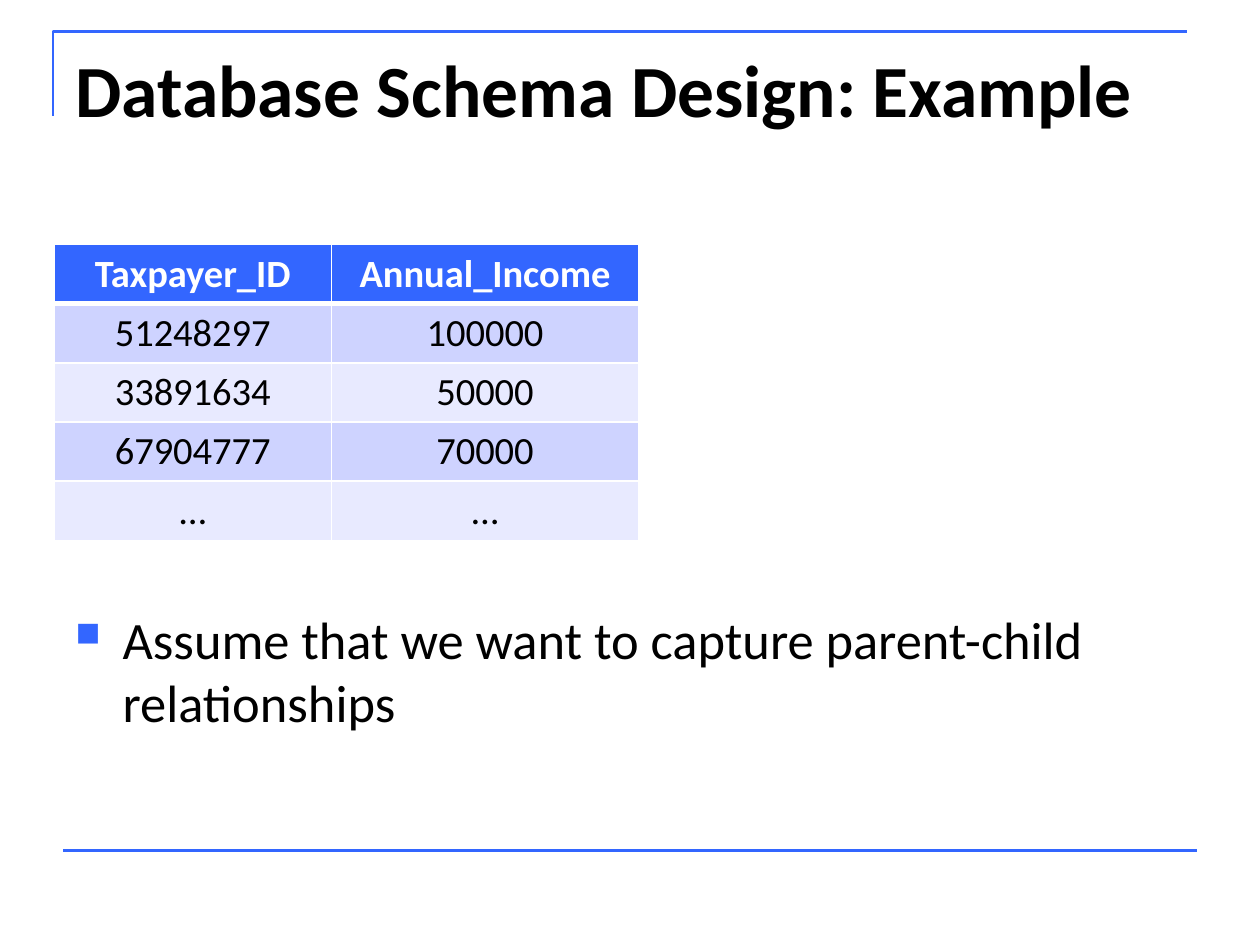
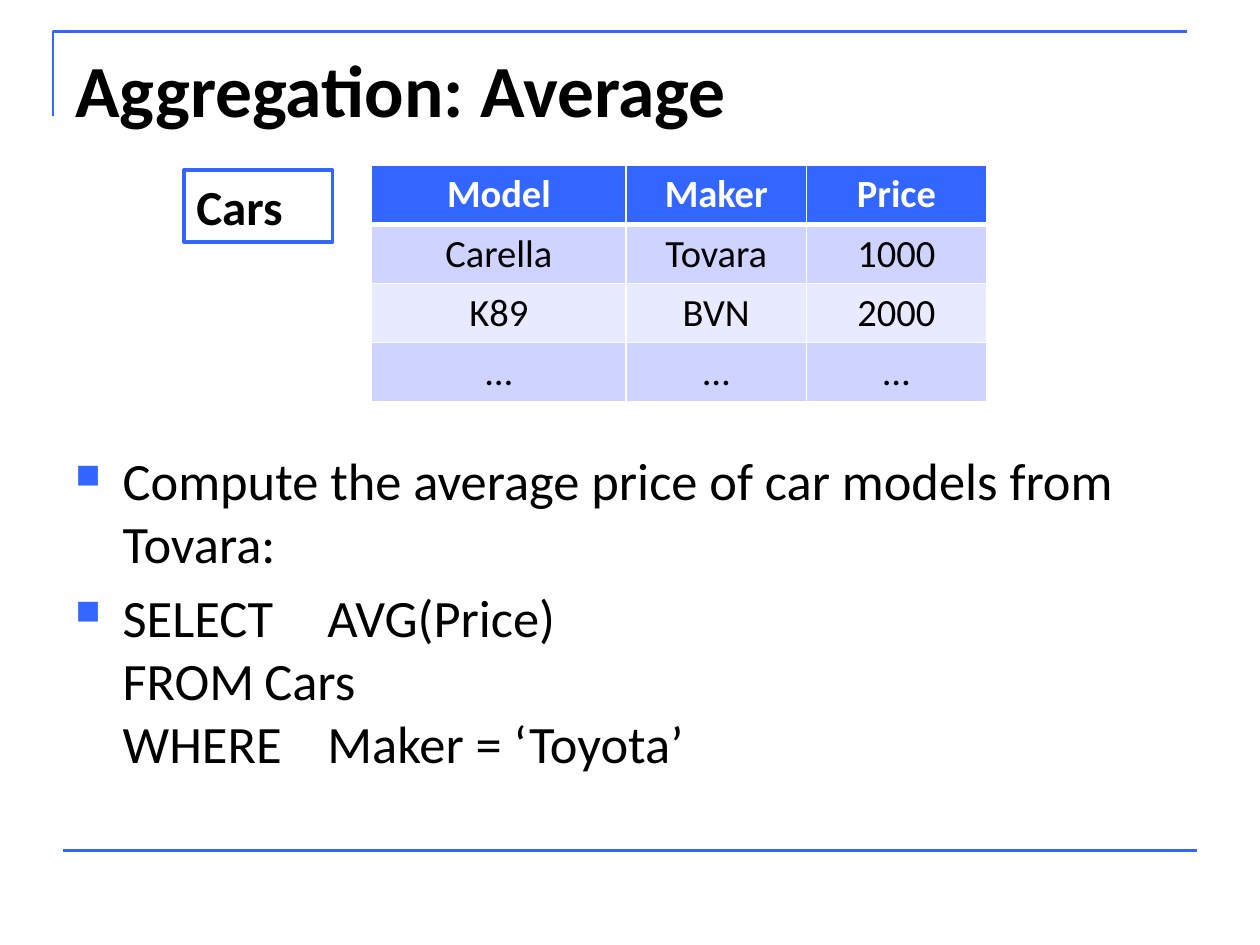
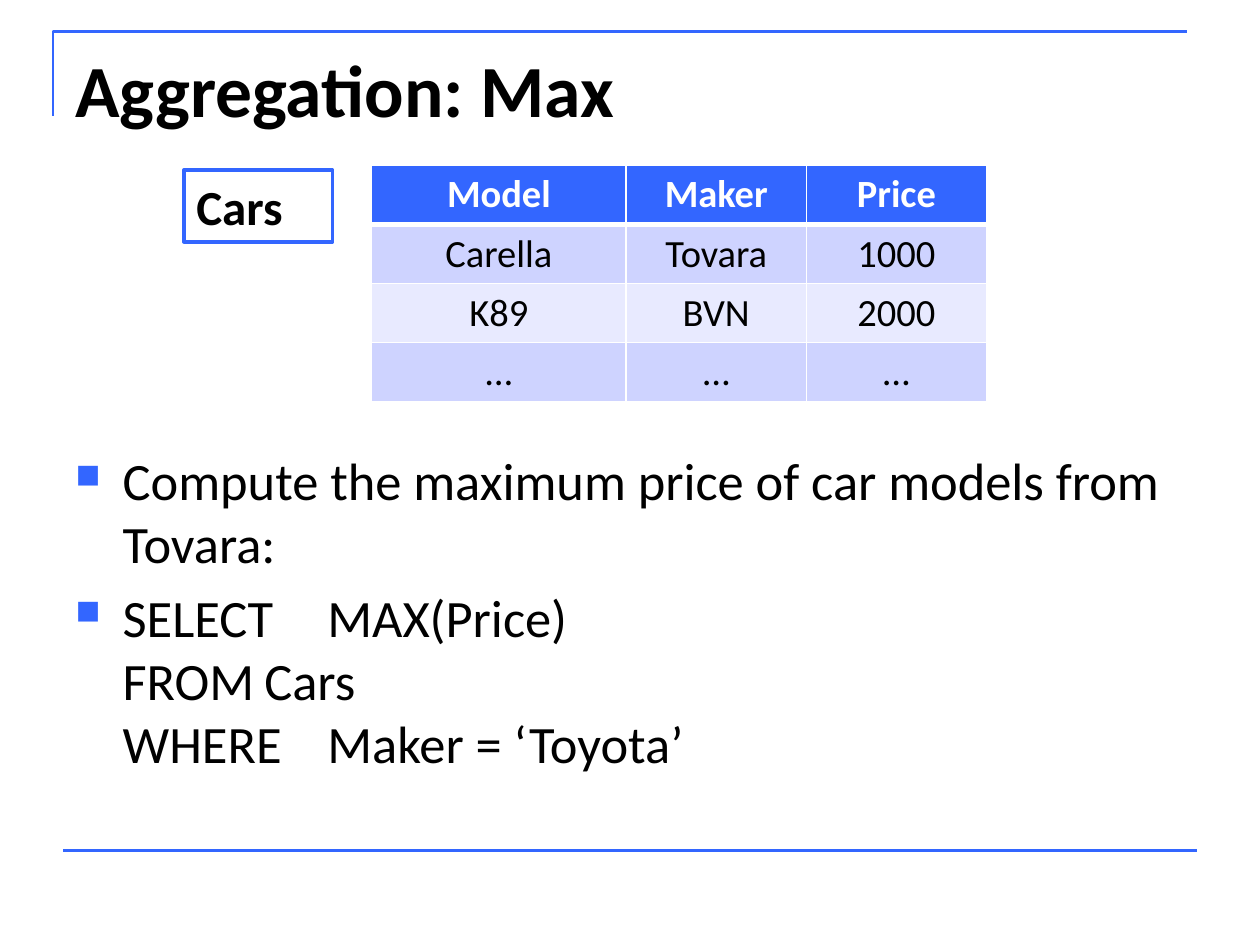
from dataclasses import dataclass
from typing import NamedTuple, Optional

from lxml.etree import SubElement
from pptx import Presentation
from pptx.dml.color import RGBColor
from pptx.enum.shapes import MSO_CONNECTOR, MSO_SHAPE
from pptx.enum.text import MSO_ANCHOR, PP_ALIGN
from pptx.oxml.ns import qn
from pptx.util import Inches, Pt

GRID_COLUMNS = 100
GRID_ROWS = 75
SLIDE_WIDTH = Inches(10)
SLIDE_HEIGHT = Inches(7.5)


@dataclass(frozen=True)
class Theme:
    font: str = "Calibri"
    accent: str = "3366FF"
    ink: str = "000000"
    paper: str = "FFFFFF"
    odd_row: str = "CED3FF"
    even_row: str = "E8EAFF"
    title_size: float = 42
    body_size: float = 30
    label_size: float = 28
    table_size: float = 22
    frame_line: float = 1.5
    label_line: float = 2
    cell_line: float = 1
    header_line: float = 3


THEME = Theme()


class Box(NamedTuple):
    left: float
    top: float
    width: float
    height: float


@dataclass(frozen=True)
class TableContent:
    left: float
    top: float
    column_widths: tuple[float, ...]
    rows: tuple[tuple[str, ...], ...]


@dataclass(frozen=True)
class SlideContent:
    title: str
    table: TableContent
    bullets: tuple[str, ...]
    body: Box
    label: Optional[str] = None


TITLE_BOX = Box(5, 3, 90, 12.5)
LABEL_BOX = Box(14.6, 13.5, 11.8, 5.7)
TABLE_ROW_HEIGHT = 4.7
BULLET_INDENT = 3.75

TAXPAYERS = TableContent(4.3, 19.4, (22, 24.4), (
    ("Taxpayer_ID", "Annual_Income"),
    ("51248297", "100000"),
    ("33891634", "50000"),
    ("67904777", "70000"),
    ("…", "…"),
))
CARS = TableContent(29.5, 13.1, (20.2, 14.3, 14.3), (
    ("Model", "Maker", "Price"),
    ("Carella", "Tovara", "1000"),
    ("K89", "BVN", "2000"),
    ("…", "…", "…"),
))


def aggregation(title: str, adjective: str, function: str) -> SlideContent:
    return SlideContent(
        title=f"Aggregation: {title}",
        table=CARS,
        bullets=(
            f"Compute the {adjective} price of car models from Tovara:",
            f"SELECT\t{function}(Price)\nFROM\tCars\nWHERE\tMaker = ‘Toyota’",
        ),
        body=Box(5, 35.1, 90, 31.9),
        label="Cars",
    )


SLIDES = (
    SlideContent(
        title="Database Schema Design: Example",
        table=TAXPAYERS,
        bullets=("Assume that we want to capture parent-child relationships",),
        body=Box(5, 47.7, 90, 19.3),
    ),
    aggregation("Average", "average", "AVG"),
    aggregation("Max", "maximum", "MAX"),
)


def across(columns: float) -> int:
    return round(SLIDE_WIDTH * columns / GRID_COLUMNS)


def down(rows: float) -> int:
    return round(SLIDE_HEIGHT * rows / GRID_ROWS)


def place(box: Box) -> tuple[int, int, int, int]:
    return across(box.left), down(box.top), across(box.width), down(box.height)


def color(value: str) -> RGBColor:
    return RGBColor.from_string(value)


def format_runs(paragraph, size: float, ink: str, bold: bool = False) -> None:
    for run in paragraph.runs:
        run.font.name = THEME.font
        run.font.size = Pt(size)
        run.font.bold = bold
        run.font.color.rgb = color(ink)


def format_line(shape, width: float) -> None:
    shape.line.color.rgb = color(THEME.accent)
    shape.line.width = Pt(width)


def draw_frame(slide) -> None:
    builder = slide.shapes.build_freeform(across(4.2), down(9.2))
    builder.add_line_segments(
        [(across(4.2), down(2.5)), (across(94.2), down(2.5))], close=False)
    corner = builder.convert_to_shape()
    corner.shadow.inherit = False
    corner.fill.background()
    format_line(corner, THEME.frame_line)

    footer = slide.shapes.add_connector(
        MSO_CONNECTOR.STRAIGHT, across(5), down(67.5), across(95), down(67.5))
    format_line(footer, THEME.frame_line)
    SubElement(footer._element.spPr, qn("a:effectLst"))


def draw_title(slide, title: str) -> None:
    text_frame = slide.shapes.add_textbox(*place(TITLE_BOX)).text_frame
    text_frame.word_wrap = True
    text_frame.text = title
    format_runs(text_frame.paragraphs[0], THEME.title_size, THEME.ink, bold=True)


def add_bullet(paragraph) -> None:
    properties = paragraph._p.get_or_add_pPr()
    properties.set("marL", str(across(BULLET_INDENT)))
    properties.set("indent", str(-across(BULLET_INDENT)))
    bullet_color = SubElement(properties, qn("a:buClr"))
    SubElement(bullet_color, qn("a:srgbClr"), val=THEME.accent)
    SubElement(properties, qn("a:buSzPct"), val="65000")
    SubElement(properties, qn("a:buChar"), char="■")


def draw_bullets(slide, box: Box, bullets: tuple[str, ...]) -> None:
    text_frame = slide.shapes.add_textbox(*place(box)).text_frame
    text_frame.word_wrap = True
    for index, bullet in enumerate(bullets):
        paragraph = text_frame.add_paragraph() if index else text_frame.paragraphs[0]
        paragraph.text = bullet
        add_bullet(paragraph)
        if index:
            paragraph.space_before = Pt(THEME.body_size * 0.2)
        format_runs(paragraph, THEME.body_size, THEME.ink)


def add_borders(cell, top: float, bottom: float) -> None:
    properties = cell._tc.get_or_add_tcPr()
    widths = {"lnL": THEME.cell_line, "lnR": THEME.cell_line, "lnT": top, "lnB": bottom}
    for side, width in widths.items():
        border = SubElement(properties, qn(f"a:{side}"), w=str(Pt(width)))
        fill = SubElement(border, qn("a:solidFill"))
        SubElement(fill, qn("a:srgbClr"), val=THEME.paper)


def format_cell(cell, row: int) -> None:
    header = row == 0
    add_borders(
        cell,
        top=THEME.header_line if row == 1 else THEME.cell_line,
        bottom=THEME.header_line if header else THEME.cell_line,
    )
    band = THEME.odd_row if row % 2 else THEME.even_row
    cell.fill.solid()
    cell.fill.fore_color.rgb = color(THEME.accent if header else band)
    paragraph = cell.text_frame.paragraphs[0]
    paragraph.alignment = PP_ALIGN.CENTER
    format_runs(paragraph, THEME.table_size, THEME.paper if header else THEME.ink, header)


def draw_table(slide, content: TableContent) -> None:
    box = Box(content.left, content.top, sum(content.column_widths),
              TABLE_ROW_HEIGHT * len(content.rows))
    table = slide.shapes.add_table(
        len(content.rows), len(content.column_widths), *place(box)).table
    table.horz_banding = False
    for column, width in zip(table.columns, content.column_widths):
        column.width = across(width)
    for row, values in enumerate(content.rows):
        table.rows[row].height = down(TABLE_ROW_HEIGHT)
        for column, value in enumerate(values):
            cell = table.cell(row, column)
            cell.text_frame.text = value
            format_cell(cell, row)


def draw_label(slide, label: str) -> None:
    shape = slide.shapes.add_shape(MSO_SHAPE.RECTANGLE, *place(LABEL_BOX))
    shape.shadow.inherit = False
    shape.fill.background()
    format_line(shape, THEME.label_line)
    shape.text_frame.vertical_anchor = MSO_ANCHOR.TOP
    shape.text_frame.text = label
    paragraph = shape.text_frame.paragraphs[0]
    paragraph.alignment = PP_ALIGN.LEFT
    format_runs(paragraph, THEME.label_size, THEME.ink, bold=True)


def draw_slide(presentation, content: SlideContent) -> None:
    slide = presentation.slides.add_slide(presentation.slide_layouts[6])
    draw_frame(slide)
    draw_title(slide, content.title)
    draw_bullets(slide, content.body, content.bullets)
    draw_table(slide, content.table)
    if content.label:
        draw_label(slide, content.label)


def main() -> None:
    presentation = Presentation()
    presentation.slide_width = SLIDE_WIDTH
    presentation.slide_height = SLIDE_HEIGHT
    for content in SLIDES:
        draw_slide(presentation, content)
    presentation.save("out.pptx")


if __name__ == "__main__":
    main()
